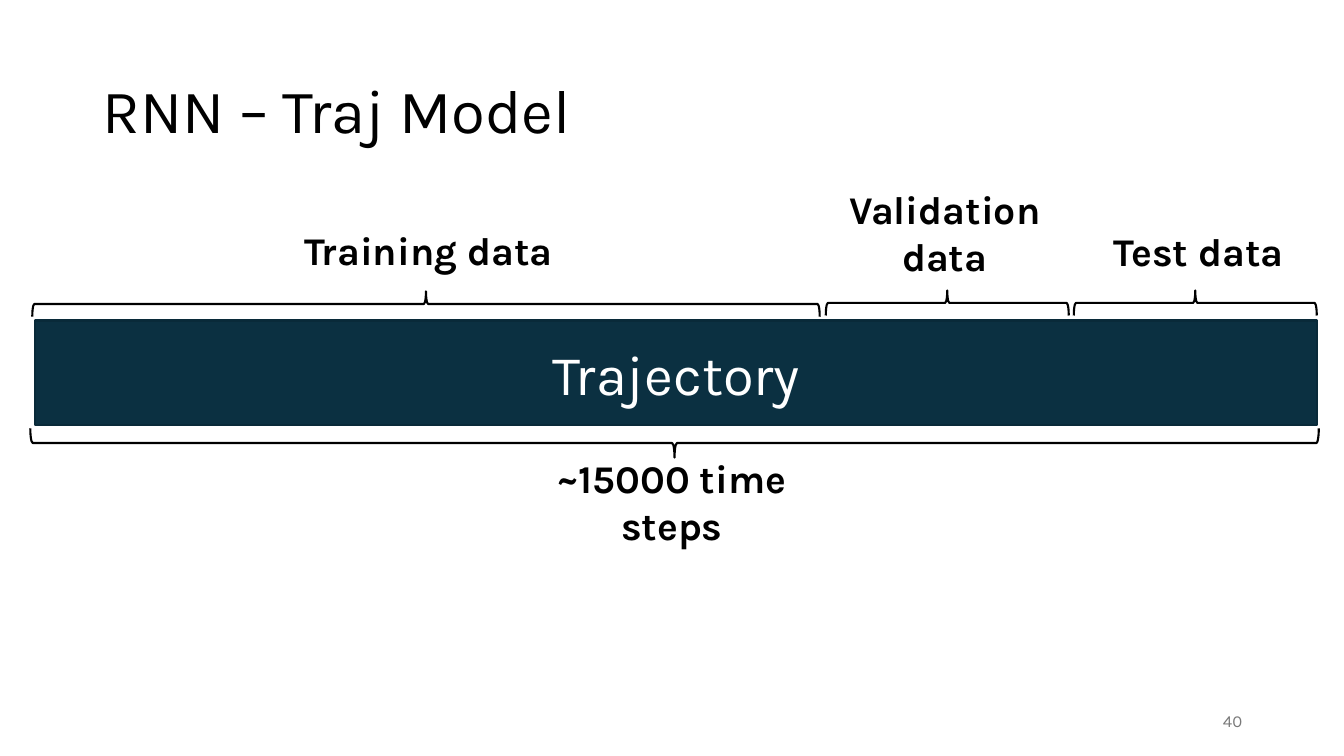
from dataclasses import dataclass

from pptx import Presentation
from pptx.dml.color import RGBColor
from pptx.enum.shapes import MSO_SHAPE as Shape
from pptx.enum.text import MSO_ANCHOR as Anchor, PP_ALIGN as Align
from pptx.slide import Slide
from pptx.text.text import TextFrame
from pptx.util import Inches, Pt

FONT = "Karla"
COLORS = {
    "text": "000000",
    "page_number": "797979",
    "bar": "0B3041",
    "bar_line": "092A39",
    "bar_text": "FFFFFF",
}


@dataclass
class Label:
    text: str
    left: float
    top: float
    width: float
    height: float
    size: int = 28
    bold: bool = True
    color: str = "text"
    align: Align = Align.CENTER
    anchor: Anchor = Anchor.TOP
    line_spacing: float = 1.0


@dataclass
class Brace:
    """A horizontal brace, measured as it appears after rotation."""
    left: float
    top: float
    width: float
    depth: float
    rotation: int


LABELS = [
    Label("RNN – Traj Model", 0.92, 0.4, 11.5, 1.45, size=44, bold=False,
          align=Align.LEFT, anchor=Anchor.MIDDLE, line_spacing=0.9),
    Label("40", 9.42, 6.95, 3, 0.4, size=12, bold=False, color="page_number",
          align=Align.RIGHT, anchor=Anchor.MIDDLE),
    Label("~15000 time steps", 4.95, 4.46, 3.43, 0.57),
    Label("Training data", 2.91, 2.2, 2.68, 0.57),
    Label("Validation data", 8.19, 1.79, 2.36, 1.04),
    Label("Test data", 10.95, 2.21, 2.07, 0.57, align=Align.LEFT),
]

POINT_DOWN, POINT_UP = 90, 270
BRACES = [
    Brace(0.3, 4.25, 12.78, 0.29, POINT_DOWN),
    Brace(0.32, 2.89, 7.81, 0.25, POINT_UP),
    Brace(8.19, 2.88, 2.41, 0.25, POINT_UP),
    Brace(10.65, 2.88, 2.41, 0.25, POINT_UP),
]


def color(name: str) -> RGBColor:
    return RGBColor.from_string(COLORS[name])


def write(frame: TextFrame, text: str, size: int, color_name: str,
          align: Align, anchor: Anchor, bold: bool = False,
          line_spacing: float = 1.0) -> None:
    frame.word_wrap = True
    frame.vertical_anchor = anchor
    paragraph = frame.paragraphs[0]
    paragraph.alignment = align
    paragraph.line_spacing = line_spacing
    run = paragraph.add_run()
    run.text = text
    run.font.name = FONT
    run.font.size = Pt(size)
    run.font.bold = bold
    run.font.color.rgb = color(color_name)


def add_label(slide: Slide, label: Label) -> None:
    box = slide.shapes.add_textbox(Inches(label.left), Inches(label.top),
                                   Inches(label.width), Inches(label.height))
    write(box.text_frame, label.text, label.size, label.color, label.align,
          label.anchor, label.bold, label.line_spacing)


def add_brace(slide: Slide, brace: Brace) -> None:
    """Place an upright brace around the same centre, then turn it."""
    shift = (brace.width - brace.depth) / 2
    shape = slide.shapes.add_shape(
        Shape.RIGHT_BRACE, Inches(brace.left + shift), Inches(brace.top - shift),
        Inches(brace.depth), Inches(brace.width))
    shape.rotation = brace.rotation
    shape.shadow.inherit = False
    shape.fill.background()
    shape.line.color.rgb = color("text")
    shape.line.width = Pt(1.5)


def add_trajectory_bar(slide: Slide) -> None:
    bar = slide.shapes.add_shape(Shape.RECTANGLE, Inches(0.35), Inches(3.18),
                                 Inches(12.71), Inches(1.04))
    bar.shadow.inherit = False
    bar.fill.solid()
    bar.fill.fore_color.rgb = color("bar")
    bar.line.color.rgb = color("bar_line")
    bar.line.width = Pt(1.5)
    write(bar.text_frame, "Trajectory", 40, "bar_text", Align.CENTER, Anchor.MIDDLE)


def main() -> None:
    presentation = Presentation()
    presentation.slide_width = Inches(13.33)
    presentation.slide_height = Inches(7.5)
    slide = presentation.slides.add_slide(presentation.slide_layouts[6])
    add_trajectory_bar(slide)
    for brace in BRACES:
        add_brace(slide, brace)
    for label in LABELS:
        add_label(slide, label)
    presentation.save("out.pptx")


if __name__ == "__main__":
    main()
